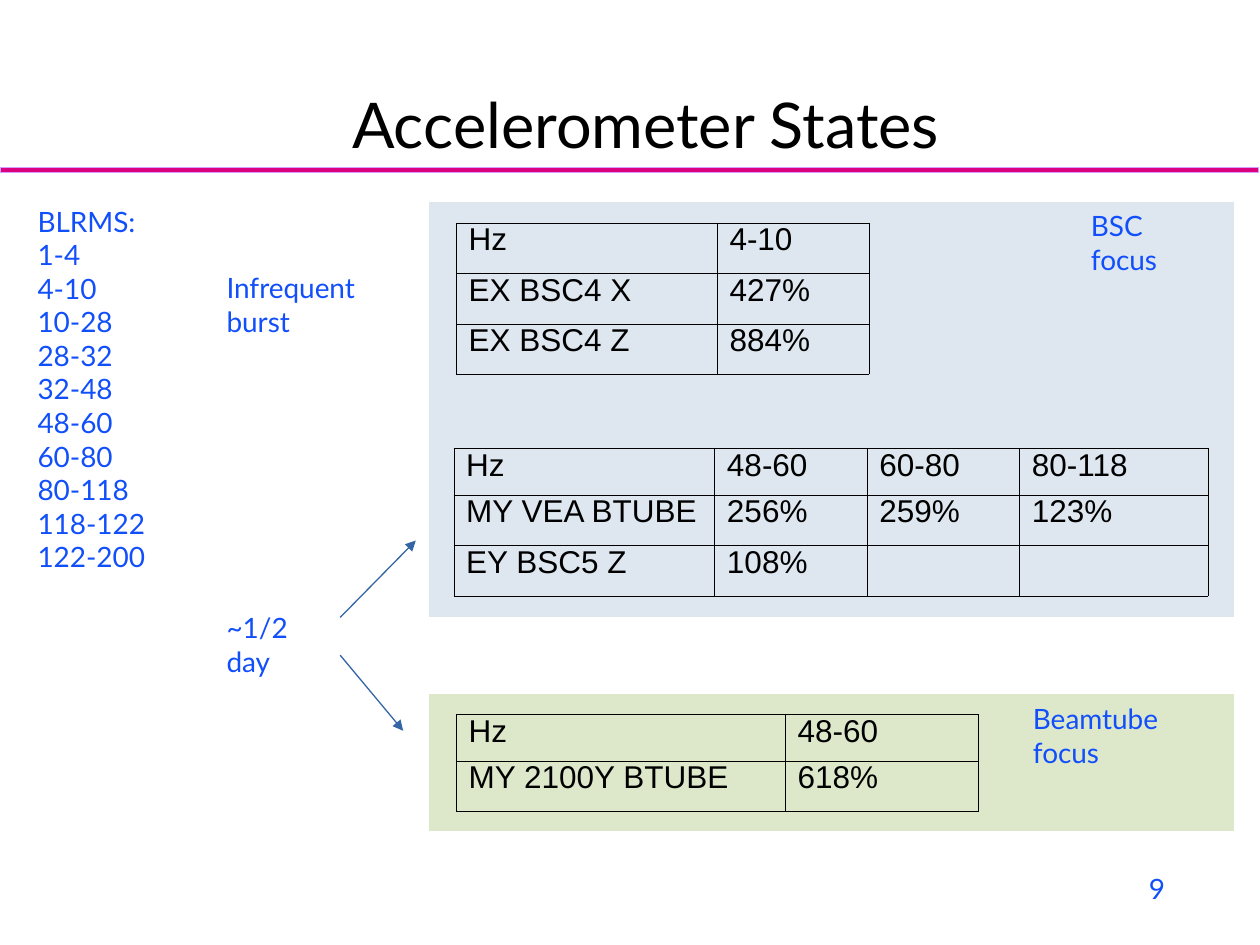
from lxml import etree
from pptx import Presentation
from pptx.dml.color import RGBColor
from pptx.enum.shapes import MSO_CONNECTOR, MSO_SHAPE
from pptx.enum.text import MSO_ANCHOR, PP_ALIGN
from pptx.oxml import parse_xml
from pptx.oxml.ns import nsdecls, qn
from pptx.util import Inches, Pt

COLORS = {
    "ink": "000000", "blue": "114FFB", "arrow": "3465A4", "rule": "DC0081",
    "rule_edge": "D49FFF", "white": "FFFFFF", "bsc": "DEE6EF", "beamtube": "DDE8CB",
}


def add_span(para, text, size, font, color):
    span = para.add_run()
    span.text = text
    span.font.size = Pt(size)
    span.font.name = font
    span.font.color.rgb = RGBColor.from_string(COLORS[color])


def add_text(page, bounds, lines, size=16, color="blue", anchor=MSO_ANCHOR.TOP, align=PP_ALIGN.LEFT):
    box = page.shapes.add_textbox(*map(Inches, bounds))
    frame = box.text_frame
    frame.word_wrap = True
    frame.vertical_anchor = anchor
    for index, line in enumerate(lines):
        para = frame.add_paragraph() if index else frame.paragraphs[0]
        para.alignment = align
        add_span(para, line, size, "Lato", color)


deck = Presentation()
deck.slide_width, deck.slide_height = Inches(10), Inches(7.5)
page = deck.slides.add_slide(deck.slide_layouts[6])

panels = [
    ((0, 1.33, 9.99, 0.04), "rule", "rule_edge"),
    ((3.4, 5.5, 6.4, 1.1), "beamtube", "white"),
    ((3.4, 1.6, 6.4, 3.3), "bsc", "white"),
]
for bounds, fill, edge in panels:
    panel = page.shapes.add_shape(MSO_SHAPE.RECTANGLE, *map(Inches, bounds))
    panel.shadow.inherit = False
    panel.fill.solid()
    panel.fill.fore_color.rgb = RGBColor.from_string(COLORS[fill])
    panel.line.color.rgb = RGBColor.from_string(COLORS[edge])
    panel.line.width = Pt(0.75)

add_text(page, (1.17, 0.08, 7.91, 1.25), ["Accelerometer States"], 36, "ink",
         MSO_ANCHOR.BOTTOM, PP_ALIGN.CENTER)
add_text(page, (9.02, 6.8, 1.08, 0.5), ["9"], anchor=MSO_ANCHOR.MIDDLE)

tables = [
    (3.6, 3.56, [2.07, 1.21, 1.21, 1.5], [0.37, 0.4, 0.4], [
        ["Hz", "48-60", "60-80", "80-118"],
        ["MY VEA BTUBE", "256%", "259%", "123%"],
        ["EY BSC5 Z", "108%", "", ""],
    ]),
    (3.62, 1.77, [2.07, 1.21], [0.4, 0.4, 0.4], [
        ["Hz", "4-10"], ["EX BSC4 X", "427%"], ["EX BSC4 Z", "884%"],
    ]),
    (3.62, 5.67, [2.61, 1.53], [0.37, 0.4], [
        ["Hz", "48-60"], ["MY 2100Y BTUBE", "618%"],
    ]),
]
for left, top, widths, heights, rows in tables:
    bounds = (left, top, sum(widths), sum(heights))
    table = page.shapes.add_table(len(rows), len(widths), *map(Inches, bounds)).table
    table.first_row = table.horz_banding = False
    for column, width in zip(table.columns, widths):
        column.width = Inches(width)
    for row, height, values in zip(table.rows, heights, rows):
        row.height = Inches(height)
        for cell, value in zip(row.cells, values):
            para = cell.text_frame.paragraphs[0]
            para.line_spacing = 0.76
            if value:
                add_span(para, value, 18, "Arial", "ink")
            properties = cell._tc.get_or_add_tcPr()
            for side in ("lnL", "lnR", "lnT", "lnB"):
                properties.append(parse_xml(
                    f'<a:{side} {nsdecls("a")} w="762"><a:solidFill>'
                    f'<a:srgbClr val="{COLORS["ink"]}"/></a:solidFill></a:{side}>'))
            cell.fill.background()

add_text(page, (0.2, 1.57, 1.2, 3.03), [
    "BLRMS:", "1-4", "4-10", "10-28", "28-32", "32-48",
    "48-60", "60-80", "80-118", "118-122", "122-200",
])
labels = [
    ((8.56, 1.61, 1.11, 0.36), "BSC focus"),
    ((8.1, 5.52, 1.66, 0.63), "Beamtube focus"),
    ((1.7, 4.8, 1, 0.36), "~1/2 day"),
    ((1.7, 2.1, 1.7, 0.63), "Infrequent burst"),
]
for bounds, label in labels:
    add_text(page, bounds, [label])

for ends in [(2.7, 4.9, 3.3, 4.29), (2.7, 5.2, 3.2, 5.8)]:
    arrow = page.shapes.add_connector(MSO_CONNECTOR.STRAIGHT, *map(Inches, ends))
    arrow.line.color.rgb = RGBColor.from_string(COLORS["arrow"])
    arrow.line.width = Pt(0.75)
    etree.SubElement(arrow.line._get_or_add_ln(), qn("a:tailEnd"), type="triangle")
    etree.SubElement(arrow._element.spPr, qn("a:effectLst"))

deck.save("out.pptx")
